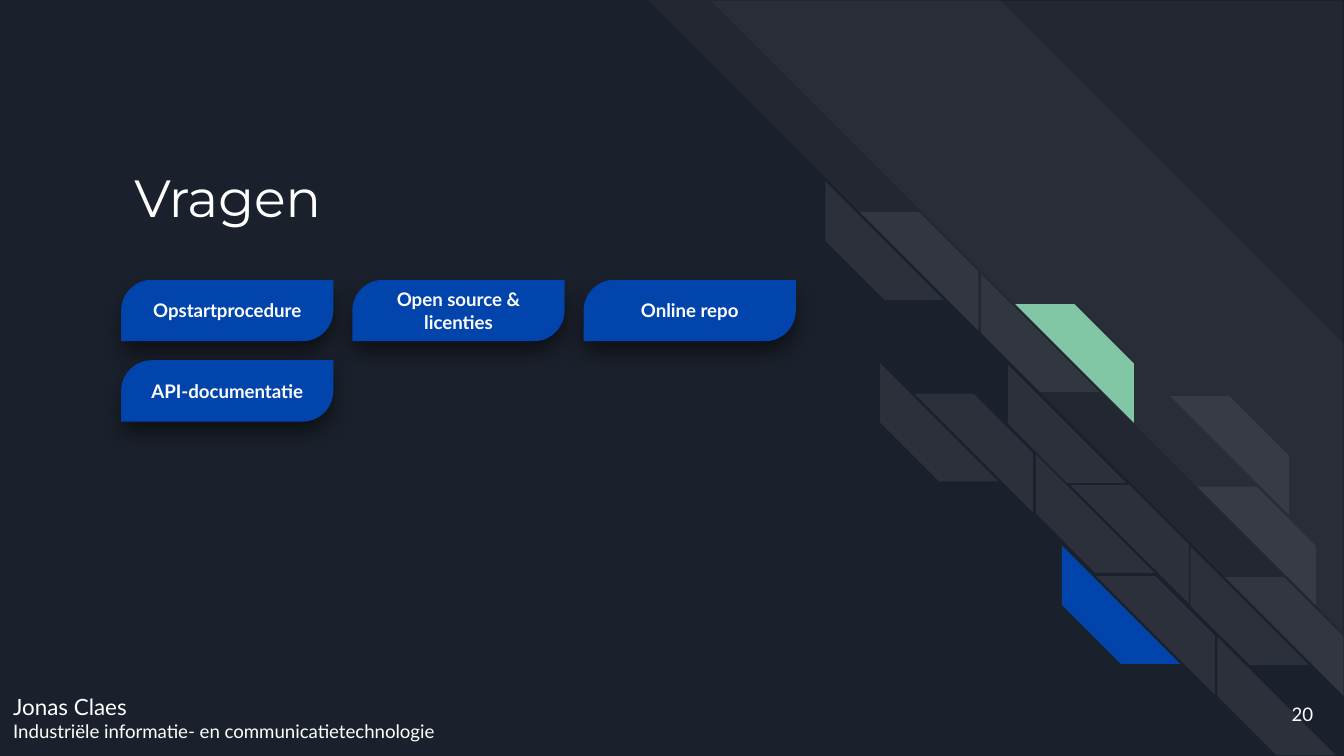
from pptx import Presentation
from pptx.dml.color import RGBColor
from pptx.enum.shapes import MSO_SHAPE as Preset
from pptx.enum.text import MSO_ANCHOR as Anchor, MSO_AUTO_SIZE as AutoSize, PP_ALIGN as Align
from pptx.oxml.ns import qn
from pptx.util import Cm, Pt
from lxml.etree import SubElement

WHITE, NAVY, BLUE, GREEN = "FFFFFF", "1B212C", "0145AC", "82C7A5"
BODY_FONT, TITLE_FONT = "Lato", "Montserrat"


def paint(fill, color, alpha=None):
    fill.solid()
    fill.fore_color.rgb = RGBColor.from_string(color)
    if alpha is not None:
        srgb = fill._xPr.find(f".//{qn('a:srgbClr')}")
        SubElement(srgb, qn("a:alpha"), val=str(alpha * 1000))


def write(shape, lines, font=BODY_FONT, bold=False, align=Align.LEFT, anchor=Anchor.MIDDLE):
    """Fill a shape with paragraphs given as (text, size) pairs."""
    frame = shape.text_frame
    frame.word_wrap = True
    frame.auto_size = AutoSize.NONE
    frame.vertical_anchor = anchor
    frame.margin_left = frame.margin_right = Cm(0.25)
    frame.margin_top = frame.margin_bottom = Cm(0.25)
    for index, (text, size) in enumerate(lines):
        para = frame.add_paragraph() if index else frame.paragraphs[0]
        para.alignment = align
        span = para.add_run()
        span.text = text
        span.font.name, span.font.size, span.font.bold = font, Pt(size), bold
        span.font.color.rgb = RGBColor.from_string(WHITE)


def add_plain_shape(page, preset, box, color, alpha=None):
    shape = page.shapes.add_shape(preset, *map(Cm, box))
    shape.shadow.inherit = False
    shape.line.fill.background()
    paint(shape.fill, color, alpha)
    return shape


def add_stripe(page, box, ratio, turn, color=WHITE, alpha=None):
    """Diagonal stripe, rotated by turn degrees or mirrored when turn is 0."""
    stripe = add_plain_shape(page, Preset.DIAGONAL_STRIPE, box, color, alpha)
    stripe.adjustments[0] = ratio
    stripe.rotation = turn
    if not turn:
        stripe._element.spPr.get_or_add_xfrm().set("flipH", "1")


def add_pattern(page, box):
    """Two wide bands with small tiles running down the diagonal."""
    left, top, side = box
    add_stripe(page, (left, top, side, side), 0.495, 90, alpha=3)
    add_stripe(page, (left + 1.2, top + 0.02, 11.93, 11.93), 0, 90, alpha=3)

    # Tiles: x, y, colour of the lower tile, colour of the upper tile
    tiles = [
        (3.36, 3.43, WHITE, WHITE), (4.39, 6.86, WHITE, WHITE),
        (6.3, 5.17, WHITE, GREEN), (6.81, 6.89, WHITE, None),
        (9.23, 6.91, None, WHITE), (9.74, 8.62, None, WHITE),
        (7.34, 8.59, WHITE, WHITE), (7.83, 10.31, BLUE, WHITE),
        (10.26, 10.33, WHITE, WHITE), (10.77, 12.04, WHITE, None),
    ]
    tile = 2.24
    for x, y, lower, upper in tiles:
        for color, turn, dx, dy in ((lower, 270, 0, 0), (upper, 0, 0.65, 0.58)):
            if color:
                place = (left + x + dx, top + y + dy, tile, tile)
                add_stripe(page, place, 0.5, turn, color, 7 if color == WHITE else None)


def add_title(page, box, text):
    title = page.shapes.title
    title.left, title.top, title.width, title.height = map(Cm, box)
    write(title, [(text, 28)], font=TITLE_FONT)


def add_label(page, box, lines, **style):
    write(page.shapes.add_textbox(*map(Cm, box)), lines, **style)


def add_soft_shadow(shape):
    effects = shape._element.spPr.find(qn("a:effectLst"))
    shadow = SubElement(effects, qn("a:outerShdw"), blurRad=str(Pt(11.2)), dist=str(Pt(6)),
                        dir="5400000", algn="bl", rotWithShape="0")
    color = SubElement(shadow, qn("a:srgbClr"), val="000000")
    SubElement(color, qn("a:alpha"), val="50000")


def add_buttons(page, box, labels, columns=3):
    """Grid of topic buttons, filled row by row."""
    left, top, width = box
    gap, height = 0.36, 1.16
    button_width = (width - gap * (columns - 1)) / columns
    for index, label in enumerate(labels):
        row, column = divmod(index, columns)
        place = (left + column * (button_width + gap), top + row * (height + gap),
                 button_width, height)
        button = add_plain_shape(page, Preset.ROUND_2_DIAG_RECTANGLE, place, BLUE)
        button.adjustments[0], button.adjustments[1] = 0.5, 0
        add_soft_shadow(button)
        write(button, [(label, 10)], bold=True, align=Align.CENTER)


def main():
    deck = Presentation()
    deck.slide_width, deck.slide_height = Cm(25.4), Cm(14.29)
    page = deck.slides.add_slide(deck.slide_layouts[5])
    paint(page.background.fill, NAVY)

    # Decoration
    add_pattern(page, (12.24, 0, 13.16))

    # Title and topics
    add_title(page, (2.29, 2.11, 12.75, 3.2), "Vragen")
    add_buttons(page, (2.29, 5.29, 12.75),
                ["Opstartprocedure", "Open source & licenties", "Online repo", "API-documentatie"])

    # Footer
    add_label(page, (0, 12.85, 15.77, 1.44),
              [("Jonas Claes", 12), ("Industriële informatie- en communicatietechnologie", 10)],
              anchor=Anchor.BOTTOM)
    add_label(page, (23.55, 12.95, 1.52, 1.09), [("20", 10)], align=Align.RIGHT)

    deck.save("out.pptx")


if __name__ == "__main__":
    main()
